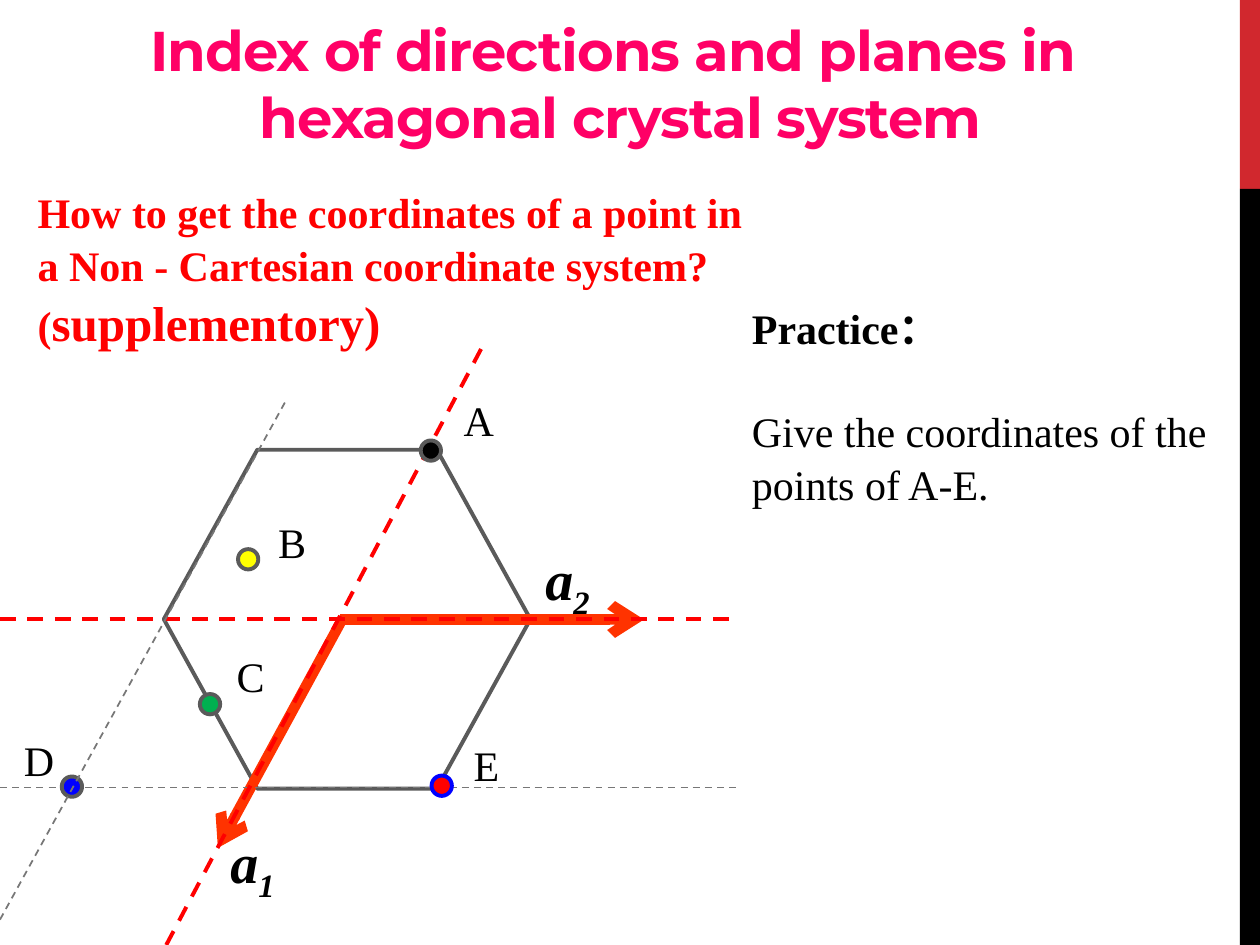
from lxml import etree
from pptx import Presentation
from pptx.dml.color import RGBColor
from pptx.enum.dml import MSO_LINE
from pptx.enum.shapes import MSO_CONNECTOR, MSO_SHAPE
from pptx.enum.text import MSO_ANCHOR, MSO_AUTO_SIZE, PP_ALIGN
from pptx.oxml.ns import qn
from pptx.util import Pt

RECT, HEXAGON, OVAL = MSO_SHAPE.RECTANGLE, MSO_SHAPE.HEXAGON, MSO_SHAPE.OVAL
STRAIGHT, DASH = MSO_CONNECTOR.STRAIGHT, MSO_LINE.DASH

THEME = {
    "title_font": "Montserrat", "body_font": "Times New Roman",
    "title": "FF0066", "red": "FF0000", "axis": "FF3300", "outline": "5A5A5A",
    "guide": "777777", "black": "000000", "band": "D1282E",
    "blue": "0000FF", "green": "00B050", "yellow": "FFFF00",
    "title_size": 32, "vector_size": 32, "large_size": 28, "body_size": 24,
    "line_spacing": 1.05,
}
BODY, LARGE, VECTOR = THEME["body_size"], THEME["large_size"], THEME["vector_size"]

# Content: runs are (text, size, style), style letters b = bold, i = italic, s = subscript
TITLE = ["Index of directions and planes in ", "hexagonal crystal system"]
QUESTION = [[
    ("How to get the coordinates of a point in a Non - Cartesian coordinate system? (", BODY, "b"),
    ("supplementory)", LARGE, "b"),
]]
PRACTICE = [
    [("Practice：", BODY, "b")],
    [("Give the coordinates of the points of A-E.", BODY, "")],
]
# Side bands: top, height, colour
BANDS = [(0, 108, "band"), (108, 432, "black")]
# Lines: start, end, colour, width
AXES = [((194.4, 354), (368, 354)), ((195.8, 353.5), (124.5, 484.5))]
DASHES = [
    ((0, 353.5), (422.6, 353.5), "red", 2.25),
    ((0, 450), (422.6, 450), "guide", 1),
    ((95, 540), (277.2, 195.1), "red", 2.25),
]
SLANTED_GUIDE = ((0, 525.5), (164.2, 227.5), "guide", 1)
# Points: label, dot centre, label position, label width, fill, outline
POINTS = [
    ("A", (246.2, 257.5), (257.8, 220.3), 32.4, "black", "outline"),
    ("B", (141.8, 319.6), (151.9, 290.2), 31, "yellow", "outline"),
    ("C", (120, 402.4), (128.2, 366.5), 31, "green", "outline"),
    ("D", (41.1, 449.5), (6.5, 414.7), 32.4, "blue", "outline"),
    ("E", (252.4, 449), (263.5, 417.6), 29.5, "red", "blue"),
]
VECTORS = [("1", (124.6, 467.3)), ("2", (304.6, 305.3))]
DOT = 11.6


def color(name):
    return RGBColor.from_string(THEME[name])


def add_shape(kind, x, y, w, h, fill=None, line=None):
    sp = s.shapes.add_shape(kind, Pt(x), Pt(y), Pt(w), Pt(h))
    sp.shadow.inherit = False
    if fill:
        sp.fill.solid()
        sp.fill.fore_color.rgb = color(fill)
    else:
        sp.fill.background()
    if line:
        sp.line.color.rgb = color(line)
        sp.line.width = Pt(2.25)
    else:
        sp.line.fill.background()
    return sp


def add_line(start, end, line, width, arrow=False):
    cn = s.shapes.add_connector(STRAIGHT, *(Pt(v) for v in start + end))
    cn.line.color.rgb = color(line)
    cn.line.width = Pt(width)
    if arrow:
        etree.SubElement(cn.line._get_or_add_ln(), qn("a:tailEnd"), type="arrow")
    else:
        cn.line.dash_style = DASH
    etree.SubElement(cn._element.spPr, qn("a:effectLst"))


def add_text(x, y, w, h, paragraphs, fill="black", wrap=False, gap=0):
    tf = s.shapes.add_textbox(Pt(x), Pt(y), Pt(w), Pt(h)).text_frame
    tf.word_wrap = wrap
    for i, runs in enumerate(paragraphs):
        p = tf.add_paragraph() if i else tf.paragraphs[0]
        p.line_spacing = THEME["line_spacing"]
        if i:
            p.space_before = Pt(gap)
        for text, size, style in runs:
            r = p.add_run()
            r.text = text
            r.font.name = THEME["body_font"]
            r.font.size = Pt(size)
            r.font.bold = "b" in style
            r.font.italic = "i" in style
            r.font.color.rgb = color(fill)
            if "s" in style:
                r.font._element.set("baseline", "-25000")


prs = Presentation()
prs.slide_width, prs.slide_height = Pt(720), Pt(540)
s = prs.slides.add_slide(prs.slide_layouts[5])

# Side bands
for top, height, fill in BANDS:
    add_shape(RECT, 708.5, top, 11.5, height, fill)

# Title
title = s.shapes.title
title.left, title.top, title.width, title.height = Pt(8.6), Pt(0), Pt(692), Pt(89.3)
tf = title.text_frame
tf.auto_size = MSO_AUTO_SIZE.NONE
tf.vertical_anchor = MSO_ANCHOR.BOTTOM
p = tf.paragraphs[0]
p.alignment = PP_ALIGN.CENTER
for i, text in enumerate(TITLE):
    if i:
        p.add_line_break()
    r = p.add_run()
    r.text = text
    r.font.name = THEME["title_font"]
    r.font.size = Pt(THEME["title_size"])
    r.font.bold = True
    r.font.color.rgb = color("title")
    r.font._element.set("spc", "-60")

# Question and practice text
add_text(14.4, 101.5, 434.2, 133.2, QUESTION, "red", wrap=True)
add_text(422.6, 167.8, 283.7, 123.8, PRACTICE, wrap=True, gap=29)

# Hexagonal cell with its axes
cell = add_shape(HEXAGON, 93.6, 257, 209.5, 193.7, line="outline")
cell.adjustments[0] = 0.276
cell.adjustments[1] = 1.155
for start, end in AXES:
    add_line(start, end, "axis", 6, arrow=True)
for dash in DASHES:
    add_line(*dash)

# Points and labels
for label, (cx, cy), (x, y), w, fill, outline in POINTS:
    add_shape(OVAL, cx - DOT / 2, cy - DOT / 2, DOT, DOT, fill, outline)
    add_text(x, y, w, 36, [[(label, BODY, "")]])
for index, (x, y) in VECTORS:
    add_text(x, y, 41.8, 46, [[("a", VECTOR, "bi"), (index, VECTOR, "bis")]])
add_line(*SLANTED_GUIDE)

prs.save("out.pptx")
